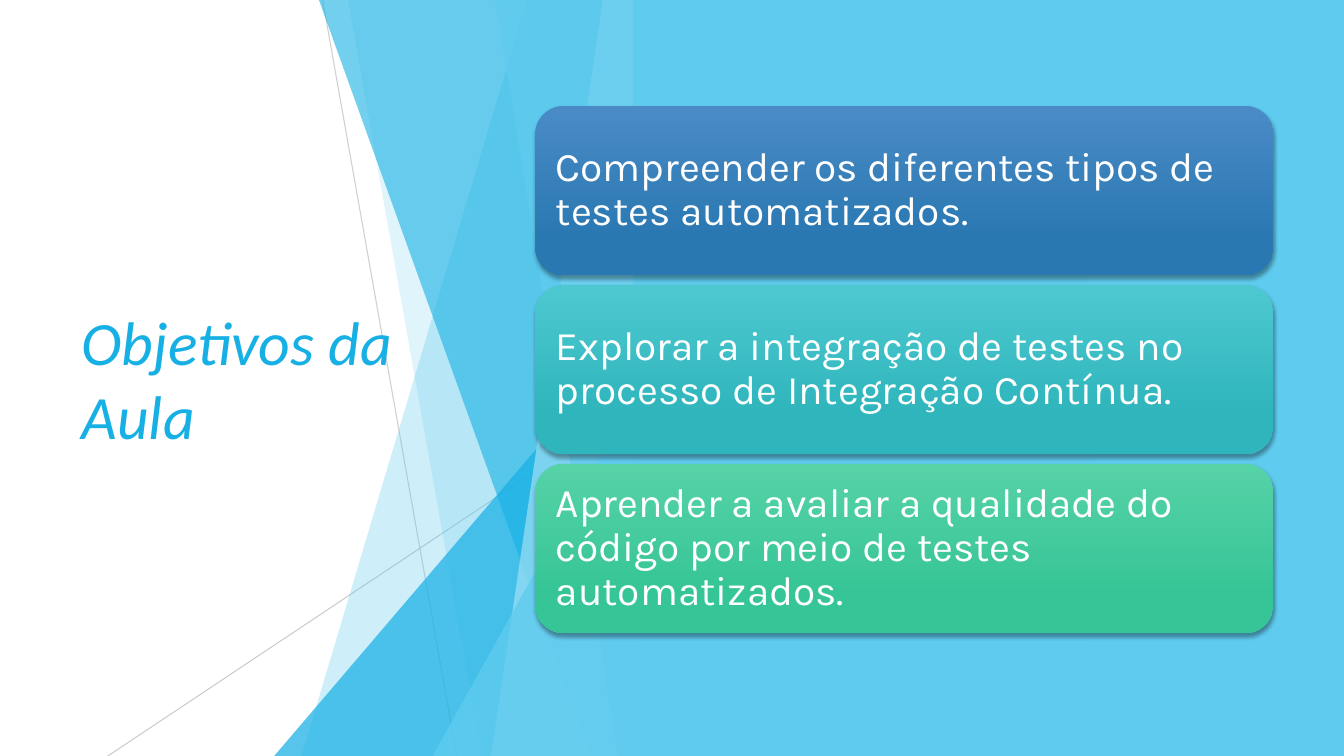
from lxml import etree
from pptx import Presentation
from pptx.dml.color import RGBColor
from pptx.enum import shapes, text
from pptx.oxml import ns
from pptx.util import Inches, Pt

SKY = RGBColor(0x5F, 0xCB, 0xEF)
CYAN = RGBColor(0x17, 0xB0, 0xE4)
PALE = RGBColor(0x9F, 0xE0, 0xF5)
GRAY = RGBColor(0xBF, 0xBF, 0xBF)
WHITE = RGBColor(0xFF, 0xFF, 0xFF)
BLACK = RGBColor(0, 0, 0)

TITLE = "Objetivos da Aula"
OBJECTIVES = [
    ("Compreender os diferentes tipos de testes automatizados.",
     RGBColor(0x4A, 0x8B, 0xC6), RGBColor(0x2A, 0x78, 0xB2)),
    ("Explorar a integração de testes no processo de Integração Contínua.",
     RGBColor(0x4D, 0xC8, 0xD0), RGBColor(0x2F, 0xB5, 0xBC)),
    ("Aprender a avaliar a qualidade do código por meio de testes automatizados.",
     RGBColor(0x56, 0xD2, 0xA7), RGBColor(0x36, 0xC5, 0x96)),
]
RAYS = [((3.2, 0), (4.53, 7.5), 75), ((6.28, 4.03), (1.07, 7.5), 80)]
FACETS = [
    ("band", 5.23, 2.99, SKY, 30),
    ("band", 3.45, 4.78, SKY, 20),
    ("triangle", 2.72, 3.33, CYAN, 72),
    ("band", 3.16, 5.86, CYAN, 60),
    ("band", 5.98, 4.87, PALE, 70),
    ("band", 4.91, 6.13, SKY, 65),
    ("triangle", 4.29, 3.93, SKY, 80),
]
WIDTH, HEIGHT = 13.33, 7.5
PANEL_LEFT = 6.28
BAND_TOP = -0.01
CARD_LEFT, CARD_TOP, CARD_WIDTH, CARD_HEIGHT = 5.31, 1.05, 7.32, 1.68
CARD_STEP = 1.775


def set_alpha(shape, percent):
    for color in shape.element.spPr.iter(ns.qn("a:srgbClr")):
        etree.SubElement(color, ns.qn("a:alpha"), val=str(percent * 1000))


def paint(shape, color, alpha=100):
    shape.shadow.inherit = False
    shape.fill.solid()
    shape.fill.fore_color.rgb = color
    shape.line.fill.background()
    if alpha < 100:
        set_alpha(shape, alpha)


def write(shape, content, *, font, size, color, italic=False, spacing=1.0, inset=None):
    frame = shape.text_frame
    frame.word_wrap = True
    frame.auto_size = text.MSO_AUTO_SIZE.NONE
    frame.vertical_anchor = text.MSO_ANCHOR.MIDDLE
    if inset is not None:
        frame.margin_left = frame.margin_right = Inches(inset)
        frame.margin_top = frame.margin_bottom = Inches(inset)
    paragraph = frame.paragraphs[0]
    paragraph.alignment = text.PP_ALIGN.LEFT
    paragraph.line_spacing = spacing
    run = paragraph.add_run()
    run.text = content
    run.font.name = font
    run.font.size = Pt(size)
    run.font.italic = italic
    run.font.color.rgb = color


def add_ray(slide, start, end, alpha):
    ray = slide.shapes.add_connector(
        shapes.MSO_CONNECTOR.STRAIGHT, *map(Inches, start + end))
    ray.line.color.rgb = GRAY
    ray.line.width = Pt(0.75)
    set_alpha(ray, alpha)
    etree.SubElement(ray.element.spPr, ns.qn("a:effectLst"))


def add_band(slide, top_left, bottom_left):
    builder = slide.shapes.build_freeform(Inches(top_left), Inches(BAND_TOP))
    corners = [(PANEL_LEFT, BAND_TOP), (PANEL_LEFT, HEIGHT), (bottom_left, HEIGHT)]
    builder.add_line_segments([(Inches(x), Inches(y)) for x, y in corners], close=True)
    return builder.convert_to_shape()


def add_triangle(slide, left, top):
    triangle = slide.shapes.add_shape(
        shapes.MSO_SHAPE.ISOSCELES_TRIANGLE, Inches(left), Inches(top),
        Inches(PANEL_LEFT - left), Inches(HEIGHT - top))
    triangle.adjustments[0] = 1
    return triangle


def add_card(slide, top, content, light, dark):
    card = slide.shapes.add_shape(
        shapes.MSO_SHAPE.ROUNDED_RECTANGLE, Inches(CARD_LEFT), Inches(top),
        Inches(CARD_WIDTH), Inches(CARD_HEIGHT))
    card.shadow.inherit = False
    card.line.fill.background()
    card.fill.gradient()
    card.fill.gradient_angle = 270
    for stop, color, position in zip(card.fill.gradient_stops, (light, dark), (0, 0.78)):
        stop.color.rgb = color
        stop.position = position
    effects = card.element.spPr.find(ns.qn("a:effectLst"))
    shadow = etree.SubElement(
        effects, ns.qn("a:outerShdw"), blurRad=str(Pt(3)), dist=str(Pt(2)),
        dir="5400000", algn="ctr", rotWithShape="0")
    color = etree.SubElement(shadow, ns.qn("a:srgbClr"), val=str(BLACK))
    etree.SubElement(color, ns.qn("a:alpha"), val="35000")
    write(card, content, font="Karla", size=29, color=WHITE, spacing=0.9, inset=0.12)


def main():
    presentation = Presentation()
    presentation.slide_width = Inches(WIDTH)
    presentation.slide_height = Inches(HEIGHT)
    slide = presentation.slides.add_slide(presentation.slide_layouts[5])

    for start, end, alpha in RAYS:
        add_ray(slide, start, end, alpha)
    builders = {"band": add_band, "triangle": add_triangle}
    for kind, first, second, color, alpha in FACETS:
        paint(builders[kind](slide, first, second), color, alpha)

    title = slide.shapes.title
    title.left, title.top = Inches(0.71), Inches(1.51)
    title.width, title.height = Inches(3.88), Inches(4.48)
    write(title, TITLE, font="Calibri", size=44, color=CYAN, italic=True)
    slide.shapes.element.append(title.element)

    panel = slide.shapes.add_shape(
        shapes.MSO_SHAPE.RECTANGLE, Inches(PANEL_LEFT), 0,
        Inches(WIDTH - PANEL_LEFT), Inches(HEIGHT))
    paint(panel, SKY)
    for index, objective in enumerate(OBJECTIVES):
        add_card(slide, CARD_TOP + index * CARD_STEP, *objective)

    presentation.save("out.pptx")


if __name__ == "__main__":
    main()
